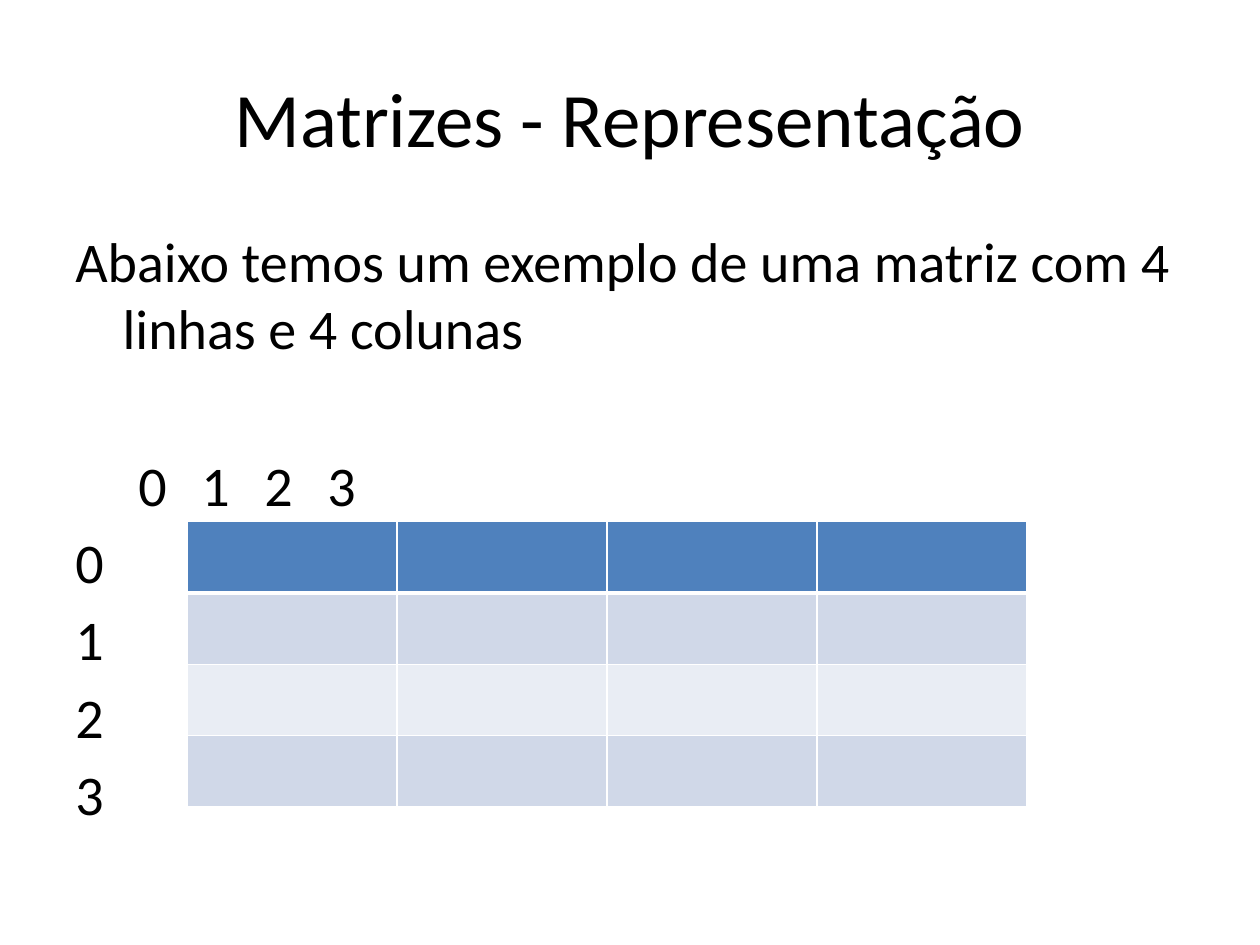
import pptx
import pptx.util
import pptx.dml.color
import pptx.enum.text
import pptx.oxml
import pptx.oxml.ns
from dataclasses import dataclass
from lxml import etree

Pt = pptx.util.Pt
RGB = pptx.dml.color.RGBColor.from_string
qn = pptx.oxml.ns.qn
ALIGN = pptx.enum.text.PP_ALIGN
ANCHOR = pptx.enum.text.MSO_ANCHOR


@dataclass(frozen=True)
class Theme:
    """Colours, font and type sizes of the slide."""
    font: str = "Calibri"
    ink: str = "000000"
    header: str = "4F81BD"
    bands: tuple = ("D0D8E8", "E9EDF4")
    rule: str = "FFFFFF"
    title_size: float = 44
    body_size: float = 32


def set_all(obj, values):
    """Set each attribute named in a dict."""
    for name, value in values.items():
        setattr(obj, name, value)


class Deck:
    """Holds the theme and the current slide, and adds elements to it."""

    def __init__(self, prs, theme):
        """Start a blank slide."""
        self.theme = theme
        self.s = prs.slides.add_slide(prs.slide_layouts[6])

    def text(self, box, paragraphs, size, anchor=ANCHOR.TOP):
        """Add a text box from (text, paragraph format, indents, tabs) items."""
        tf = self.s.shapes.add_textbox(*map(Pt, box)).text_frame
        set_all(tf, {"word_wrap": True, "vertical_anchor": anchor})
        for i, (text, fmt, indents, tabs) in enumerate(paragraphs):
            p = tf.add_paragraph() if i else tf.paragraphs[0]
            set_all(p, fmt)
            r = p.add_run()
            r.text = text
            set_all(r.font, {"name": self.theme.font, "size": Pt(size)})
            r.font.color.rgb = RGB(self.theme.ink)
            self.indent(p, indents, tabs)

    def indent(self, p, indents, tabs):
        """Set left margin, first-line indent and tab stops in points."""
        pPr = p._p.get_or_add_pPr()
        for name, value in zip(("marL", "indent"), indents):
            pPr.set(name, str(Pt(value)))
        if tabs:
            tab_list = etree.SubElement(pPr, qn("a:tabLst"))
            for pos in tabs:
                etree.SubElement(tab_list, qn("a:tab"), pos=str(Pt(pos)), algn="l")

    def table(self, left, top, n_rows, n_cols, col_width, row_height):
        """Add an empty banded grid with a header row."""
        t = self.theme
        tbl = self.s.shapes.add_table(
            n_rows, n_cols, Pt(left), Pt(top),
            Pt(n_cols * col_width), Pt(n_rows * row_height)).table
        for row in range(n_rows):
            colour = t.bands[(row - 1) % 2] if row else t.header
            for col in range(n_cols):
                cell = tbl.cell(row, col)
                widths = {"L": 1, "R": 1, "T": 3 if row == 1 else 1,
                          "B": 1 if row else 3}
                self.borders(cell, widths)
                cell.fill.solid()
                cell.fill.fore_color.rgb = RGB(colour)

    def borders(self, cell, widths):
        """Draw the cell borders; widths maps a side to points."""
        tcPr = cell._tc.get_or_add_tcPr()
        for side, width in widths.items():
            ln = etree.SubElement(tcPr, qn("a:ln" + side), w=str(Pt(width)))
            fill = etree.SubElement(ln, qn("a:solidFill"))
            etree.SubElement(fill, qn("a:srgbClr"), val=self.theme.rule)


def main():
    """Build the slide and save it."""
    prs = pptx.Presentation()
    set_all(prs, {"slide_width": Pt(720), "slide_height": Pt(540)})
    theme = Theme()
    deck = Deck(prs, theme)

    deck.text((36, 21.6, 648, 90),
              [("Matrizes - Representação", {"alignment": ALIGN.CENTER}, (), ())],
              theme.title_size, ANCHOR.MIDDLE)

    gap, blank_line = 5.8, 45
    intro = "Abaixo temos um exemplo de uma matriz com 4 linhas e 4 colunas"
    indices = [str(i) for i in range(4)]
    body = [
        (intro, {"space_before": Pt(0)}, (27, -27), ()),
        ("\t" + "\t".join(indices), {"space_before": Pt(gap + blank_line)},
         (0, 0), (134, 244, 384, 508)),
    ]
    body += [(i, {"space_before": Pt(gap)}, (27, -27), ()) for i in indices]
    deck.text((36, 126, 648, 356.4), body, theme.body_size)

    deck.table(106.8, 298, 4, 4, 120, 40.8)
    prs.save("out.pptx")


main()
